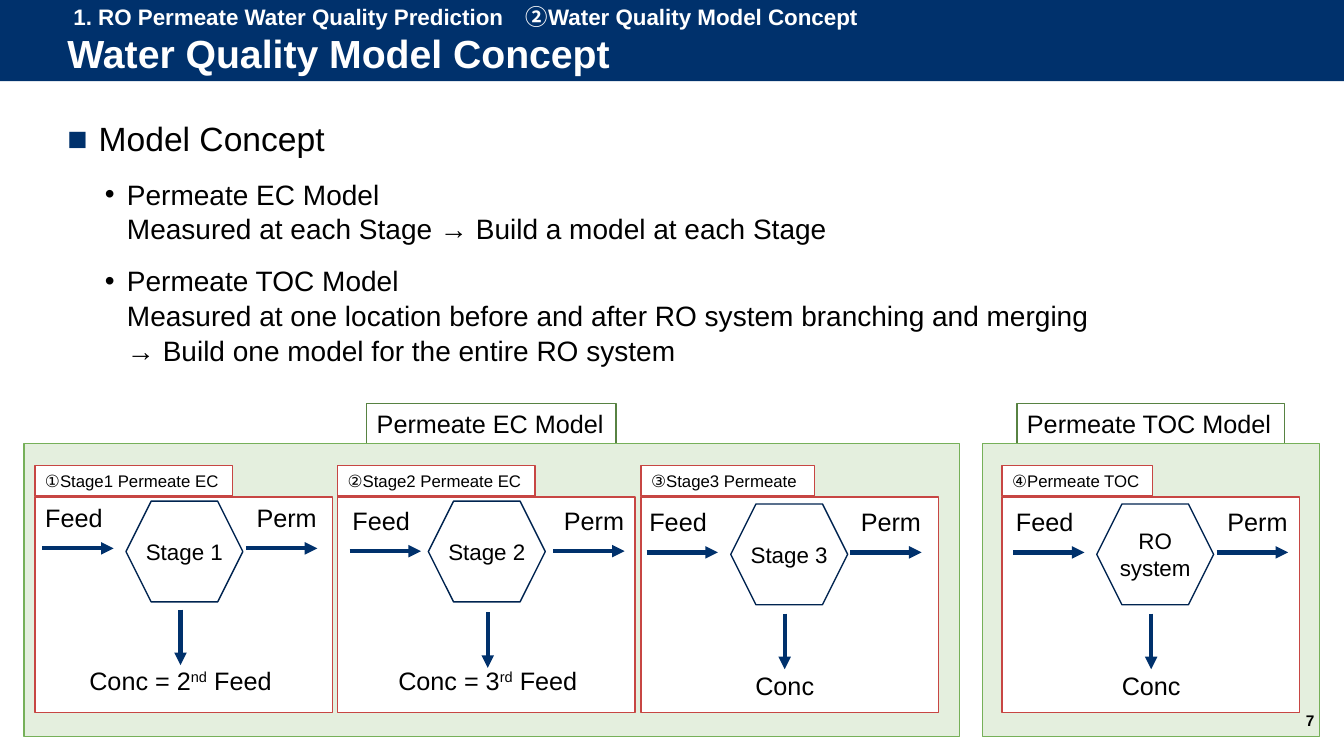
import pptx
import pptx.util
import pptx.dml.color
import pptx.enum.shapes
import pptx.enum.text
import pptx.oxml.ns
from lxml import etree

Pt = pptx.util.Pt
SHAPES = pptx.enum.shapes.MSO_SHAPE
ALIGN = pptx.enum.text.PP_ALIGN
ANCHOR = pptx.enum.text.MSO_ANCHOR
qn = pptx.oxml.ns.qn

NAVY, WHITE, BLACK = "00316C", "FFFFFF", "000000"
GREEN_FILL, GREEN_LINE, TAG_LINE = "E4EFDE", "76B059", "578242"
RED, HEXAGON_LINE = "C74643", "002450"


def paint(color_format, value):
    color_format.rgb = pptx.dml.color.RGBColor.from_string(value)


def add_box(left, top, width, height, text="", size=18, kind=None, fill=None, line=None,
            align=ALIGN.LEFT, color=BLACK, bold=False, wrap=False, anchor=ANCHOR.TOP):
    """Add a text box, or a preset shape if kind is given; |...| marks superscript."""
    frame = (Pt(left), Pt(top), Pt(width), Pt(height))
    if kind is None:
        box = page.shapes.add_textbox(*frame)
    else:
        box = page.shapes.add_shape(kind, *frame)
        box.shadow.inherit = False
        if fill:
            box.fill.solid()
            paint(box.fill.fore_color, fill)
        else:
            box.fill.background()
        if line:
            paint(box.line.color, line)
            box.line.width = Pt(1)
        else:
            box.line.fill.background()
    if text:
        box.text_frame.word_wrap = wrap
        box.text_frame.vertical_anchor = anchor
        para = box.text_frame.paragraphs[0]
        para.alignment = align
        para.font.name, para.font.size, para.font.bold = "Arial", Pt(size), bold
        paint(para.font.color, color)
        for index, piece in enumerate(text.split("|")):
            span = para.add_run()
            span.text = piece
            if index % 2:
                span._r.get_or_add_rPr().set("baseline", "30000")
    return box


deck = pptx.Presentation()
deck.slide_width, deck.slide_height = Pt(960), Pt(540)
page = deck.slides.add_slide(deck.slide_layouts[1])

# Header band, placed behind the title
band = add_box(0, 0, 960, 58, kind=SHAPES.RECTANGLE, fill=NAVY)
page.shapes.element.insert(2, band.element)

# Title
title = page.shapes.title
title.left, title.top, title.width, title.height = Pt(41), Pt(19.5), Pt(898), Pt(41)
title.text_frame.text = "Water Quality Model Concept"
title.text_frame.auto_size = pptx.enum.text.MSO_AUTO_SIZE.NONE
title.text_frame.vertical_anchor = ANCHOR.MIDDLE
heading = title.text_frame.paragraphs[0]
heading.alignment = ALIGN.LEFT
heading.line_spacing = 0.9
heading.font.name, heading.font.size, heading.font.bold = "Arial", Pt(28), True
paint(heading.font.color, WHITE)
add_box(45.4, -1.4, 665, 26.6, "1. RO Permeate Water Quality Prediction　②Water Quality Model Concept",
        size=16, color=WHITE, bold=True, wrap=True)

# Bullet list: text, level, size, left margin, hanging indent, line spacing, space before, bullet, bullet colour
bullets = [
    ("Model Concept", 0, 24, 22.3, 22.3, 0.9, 0, "■", NAVY),
    ("Permeate EC Model\vMeasured at each Stage → Build a model at each Stage",
     1, 20, 42.5, 15.8, 1.04, 12, "•", BLACK),
    ("Permeate TOC Model\vMeasured at one location before and after RO system branching and merging"
     "\v→ Build one model for the entire RO system", 1, 20, 42.5, 15.8, 1.04, 12, "•", BLACK),
]
body = page.placeholders[1]
body.left, body.top, body.width, body.height = Pt(41), Pt(84), Pt(893), Pt(185)
body.text_frame.auto_size = pptx.enum.text.MSO_AUTO_SIZE.NONE
for index, (text, level, size, margin, hanging, spacing, before, bullet, color) in enumerate(bullets):
    para = body.text_frame.add_paragraph() if index else body.text_frame.paragraphs[0]
    para.text = text
    para.level = level
    para.line_spacing = spacing
    para.space_before = Pt(before)
    properties = para._p.get_or_add_pPr()
    properties.set("marL", str(Pt(margin)))
    properties.set("indent", str(-Pt(hanging)))
    bullet_color = etree.SubElement(properties, qn("a:buClr"))
    etree.SubElement(bullet_color, qn("a:srgbClr"), val=color)
    etree.SubElement(properties, qn("a:buFont"), typeface="Arial")
    etree.SubElement(properties, qn("a:buChar"), char=bullet)
    para.font.name, para.font.size = "Arial", Pt(size)
    paint(para.font.color, BLACK)

# Model groups: tag text, tag left, tag width, group left, group width
groups = [
    ("Permeate EC Model", 262, 178, 17.3, 668),
    ("Permeate TOC Model", 726.5, 191, 702, 240.5),
]
for text, tag_left, tag_width, left, width in groups:
    add_box(tag_left, 288, tag_width, 29, text, kind=SHAPES.RECTANGLE, line=TAG_LINE)
    add_box(left, 317, width, 209, kind=SHAPES.RECTANGLE, fill=GREEN_FILL, line=GREEN_LINE)

# Stages: label, label width, unit, concentrate, panel left, hexagon left and top,
# flow left and top (start of the feed arrow), concentrate top
stages = [
    ("①Stage1 Permeate EC", 141, "Stage 1", "Conc = 2|nd| Feed", 25, 90, 358, 30.2, 391.7, 471.6),
    ("②Stage2 Permeate EC", 141, "Stage 2", "Conc = 3|rd| Feed", 241.2, 306, 358, 249.7, 393.7, 471.6),
    ("③Stage3 Permeate", 124, "Stage 3", "Conc", 458, 522, 360, 461.8, 394.6, 475.2),
    ("④Permeate TOC", 107.3, "RO system", "Conc", 715.8, 783.4, 360, 723.6, 394.6, 475.2),
]
for (label, label_width, unit, concentrate, panel_left, hexagon_left, hexagon_top,
     flow_left, flow_top, concentrate_top) in stages:
    add_box(panel_left, 355, 212.5, 154, kind=SHAPES.RECTANGLE, fill=WHITE, line=RED)
    add_box(panel_left, 332.6, label_width, 21.8, label, size=12,
            kind=SHAPES.RECTANGLE, fill=WHITE, line=RED)
    hexagon = add_box(hexagon_left, hexagon_top, 83.5, 72, unit, size=16, kind=SHAPES.HEXAGON,
                      fill=WHITE, line=HEXAGON_LINE, align=ALIGN.CENTER, wrap=True, anchor=ANCHOR.MIDDLE)
    hexagon.text_frame.margin_left = hexagon.text_frame.margin_right = 0

    # Feed, permeate and concentrate arrows, as offset and length
    for x, y, across, down in [(0, 0, 51, 0), (145.5, 0, 51, 0), (98.7, 43.8, 0, 39.6)]:
        start_x, start_y = flow_left + x, flow_top + y
        arrow = page.shapes.add_connector(
            pptx.enum.shapes.MSO_CONNECTOR.STRAIGHT,
            Pt(start_x), Pt(start_y), Pt(start_x + across), Pt(start_y + down))
        paint(arrow.line.color, NAVY)
        arrow.line.width = Pt(3)
        etree.SubElement(arrow.line._get_or_add_ln(), qn("a:tailEnd"), type="triangle")
        etree.SubElement(arrow.element.spPr, qn("a:effectLst"))

    add_box(flow_left - 5, flow_top - 36.5, 56, 29, "Feed")
    add_box(flow_left + 146, flow_top - 36.5, 58.5, 29, "Perm")
    add_box(flow_left + 98.7 - 74, concentrate_top, 148, 29, concentrate, align=ALIGN.CENTER)

# Page number
add_box(914.4, 500.4, 31.7, 28.8, "7", size=11, bold=True, align=ALIGN.RIGHT, anchor=ANCHOR.MIDDLE)

deck.save("out.pptx")
